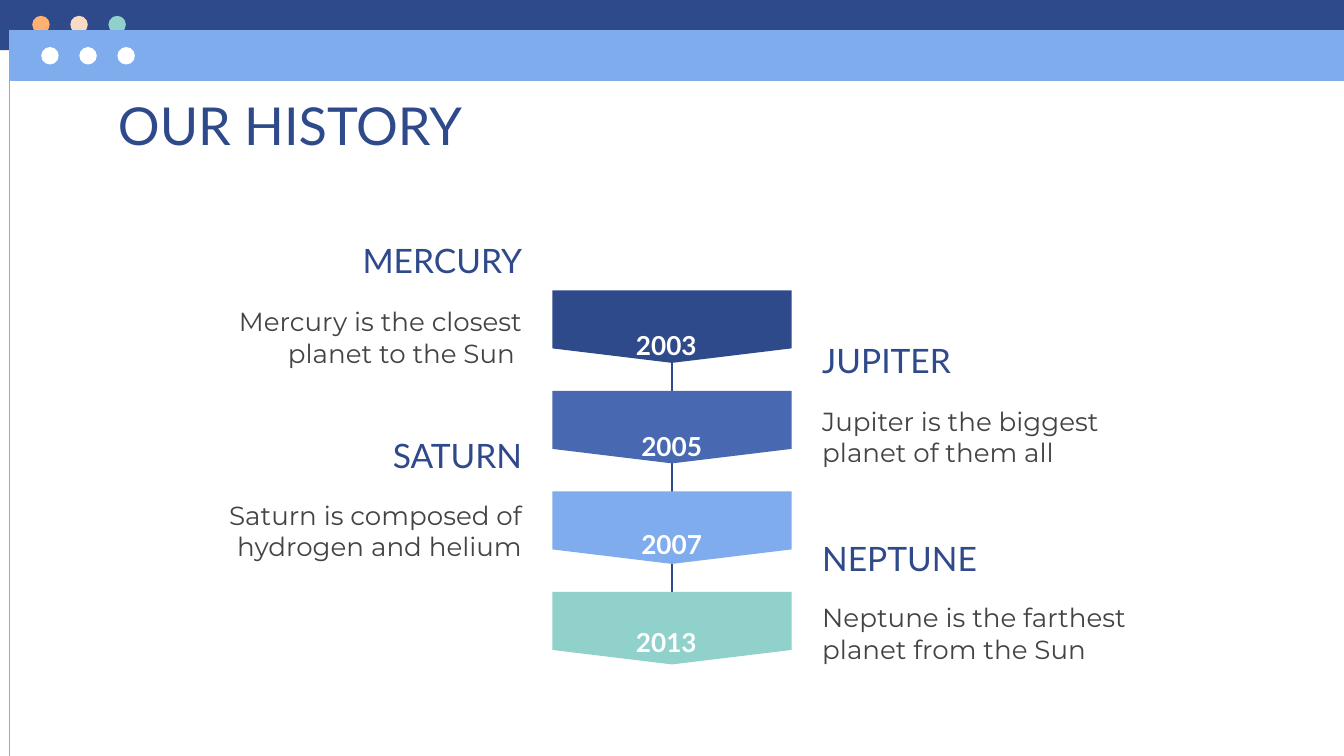
from lxml import etree
from pptx import Presentation
from pptx import util as u
from pptx.dml.color import RGBColor
from pptx.enum import shapes, text
from pptx.oxml import ns

Cm, Pt = u.Cm, u.Pt
SHAPE = shapes.MSO_SHAPE
LEFT, CENTER, RIGHT = text.PP_ALIGN.LEFT, text.PP_ALIGN.CENTER, text.PP_ALIGN.RIGHT
TOP, MIDDLE = text.MSO_ANCHOR.TOP, text.MSO_ANCHOR.MIDDLE
COLORS = {
    "navy": "2F4A8A", "blue": "4869B1", "sky": "7EACEC", "teal": "90D1CB",
    "orange": "FFB172", "peach": "F8DBC4", "white": "FFFFFF", "gray": "434343",
}

prs = Presentation()
prs.slide_width, prs.slide_height = Cm(25.4), Cm(14.29)
s = prs.slides.add_slide(prs.slide_layouts[5])


def add_filled(kind, left, top, width, height, color):
    sp = s.shapes.add_shape(kind, Cm(left), Cm(top), Cm(width), Cm(height))
    sp.shadow.inherit = False
    sp.fill.solid()
    sp.fill.fore_color.rgb = RGBColor.from_string(COLORS[color])
    sp.line.fill.background()


def write(sp, words, size, font, color, align, anchor=TOP, inset_top=0.25, inset_bottom=0.25):
    tf = sp.text_frame
    tf.word_wrap = True
    tf.auto_size = text.MSO_AUTO_SIZE.NONE
    tf.vertical_anchor = anchor
    tf.margin_left = tf.margin_right = Cm(0.25)
    tf.margin_top, tf.margin_bottom = Cm(inset_top), Cm(inset_bottom)
    p = tf.paragraphs[0]
    p.alignment = align
    r = p.add_run()
    r.text = words
    r.font.size, r.font.name = Pt(size), font
    r.font.color.rgb = RGBColor.from_string(COLORS[color])
    return p


# Window bars, each with three buttons
bars = [
    (0, 0, 0.95, "navy", 0.61, 0.3, ["orange", "peach", "teal"]),
    (0.18, 0.57, 0.96, "sky", 0.78, 0.89, ["white"] * 3),
]
for left, top, height, color, dot_left, dot_top, dots in bars:
    add_filled(SHAPE.RECTANGLE, left, top, 25.4 - left, height, color)
    for i, dot in enumerate(dots):
        add_filled(SHAPE.OVAL, dot_left + 0.72 * i, dot_top, 0.33, 0.33, dot)

# Window edge and the timeline links behind the markers
lines = [
    (0.18, 0.57, 14.29, "sky", 0.75),
    (12.7, 6.3, 7.82, "navy", 1.5),
    (12.7, 8.15, 9.68, "navy", 1.5),
    (12.7, 9.6, 11.56, "navy", 1.5),
]
for x, start, end, color, weight in lines:
    line = s.shapes.add_connector(shapes.MSO_CONNECTOR.STRAIGHT, Cm(x), Cm(start), Cm(x), Cm(end))
    line.line.color.rgb = RGBColor.from_string(COLORS[color])
    line.line.width = Pt(weight)
    etree.SubElement(line._element.spPr, ns.qn("a:effectLst"))

# Title
title = s.shapes.title
title.left, title.top, title.width, title.height = Cm(1.98), Cm(1.52), Cm(21.44), Cm(1.3)
write(title, "OUR HISTORY", 28, "Lato", "navy", LEFT)

# Timeline markers with their years
years = [
    ("2003", "navy", 5.77, LEFT),
    ("2005", "blue", 7.67, CENTER),
    ("2007", "sky", 9.53, CENTER),
    ("2013", "teal", 11.38, LEFT),
]
for i, (year, color, top, align) in enumerate(years):
    add_filled(SHAPE.FLOWCHART_OFFPAGE_CONNECTOR, 10.44, 5.49 + 1.9 * i, 4.52, 1.37, color)
    sp = s.shapes.add_textbox(Cm(11.77), Cm(top), Cm(1.85), Cm(0.66))
    p = write(sp, year, 14, "Lato", "white", align, MIDDLE, 0.76, 0)
    p.line_spacing, p.space_after = 1.15, Pt(16)
    p.runs[0].font.bold = True

# Events: left column ends at 10.12, right column starts at 15.29
events = [
    ("MERCURY", 4.29, "Mercury is the closest planet to the Sun ", 5.46, 6, RIGHT),
    ("JUPITER", 6.17, "Jupiter is the biggest planet of them all", 7.34, 6, LEFT),
    ("SATURN", 7.98, "Saturn is composed of hydrogen and helium", 9.12, 6.73, RIGHT),
    ("NEPTUNE", 9.91, "Neptune is the farthest planet from the Sun", 11.05, 6.73, LEFT),
]
for name, name_top, detail, detail_top, width, align in events:
    name_left, detail_left = (10.12 - 4.34, 10.12 - width) if align == RIGHT else (15.29, 15.29)
    sp = s.shapes.add_textbox(Cm(name_left), Cm(name_top), Cm(4.34), Cm(0.99))
    write(sp, name, 18, "Lato", "navy", align)
    sp = s.shapes.add_textbox(Cm(detail_left), Cm(detail_top), Cm(width), Cm(1.32))
    p = write(sp, detail, 14, "Montserrat", "gray", align, MIDDLE, 0.51, 0)
    p.space_after = Pt(16)

prs.save("out.pptx")
